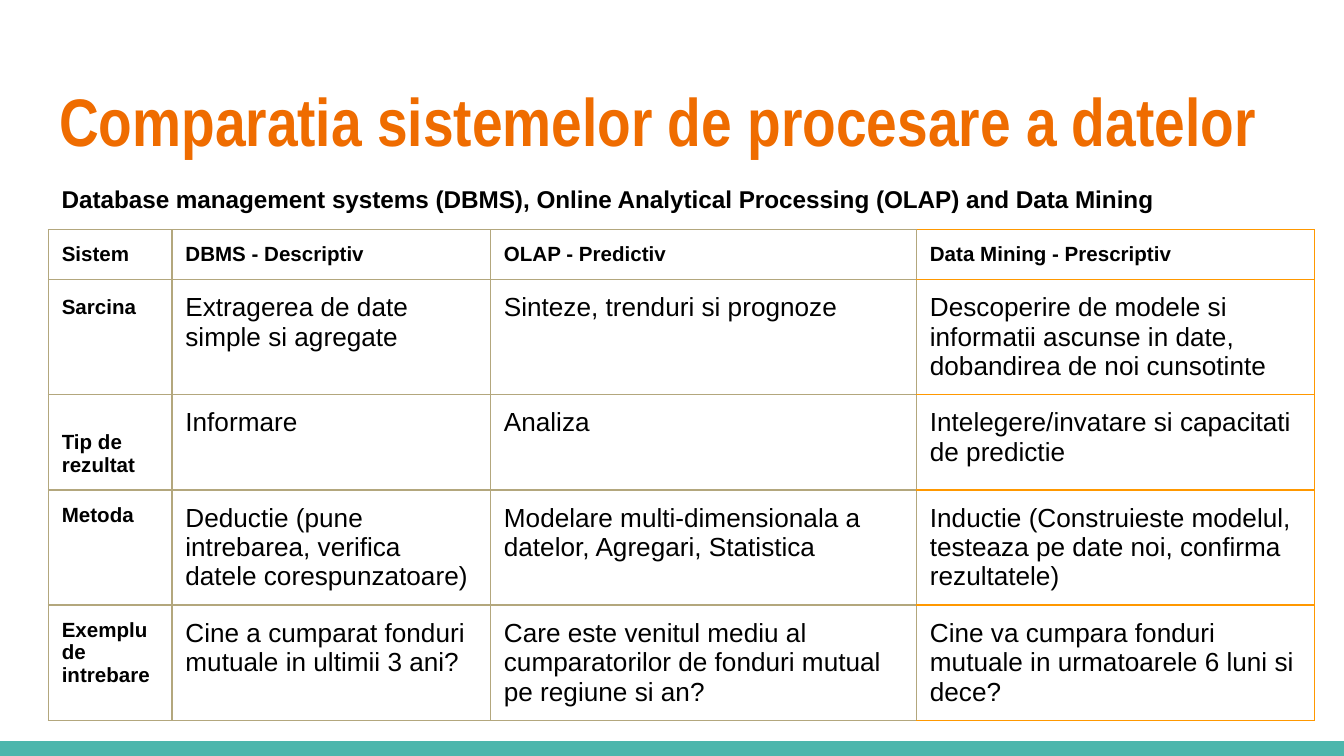
"""Build a slide comparing data processing systems in a table."""
from lxml import etree
from pptx import Presentation
from pptx.dml.color import RGBColor
from pptx.enum.shapes import MSO_SHAPE
from pptx.enum.text import MSO_ANCHOR, MSO_AUTO_SIZE, PP_ALIGN
from pptx.oxml.ns import qn
from pptx.util import Inches, Pt

RECT = MSO_SHAPE.RECTANGLE
TOP, MIDDLE = MSO_ANCHOR.TOP, MSO_ANCHOR.MIDDLE
LEFT = PP_ALIGN.LEFT
NO_FIT = MSO_AUTO_SIZE.NONE

TITLE = "Comparatia sistemelor de procesare a datelor"
SUBTITLE = ("Database management systems (DBMS), Online Analytical Processing "
            "(OLAP) and Data Mining")
ROWS = [
    ("Sistem", "DBMS - Descriptiv", "OLAP - Predictiv", "Data Mining - Prescriptiv"),
    ("Sarcina", "Extragerea de date simple si agregate",
     "Sinteze, trenduri si prognoze",
     "Descoperire de modele si informatii ascunse in date, dobandirea de noi cunsotinte"),
    ("Tip de rezultat", "Informare", "Analiza",
     "Intelegere/invatare si capacitati de predictie"),
    ("Metoda", "Deductie (pune intrebarea, verifica datele corespunzatoare)",
     "Modelare multi-dimensionala a datelor, Agregari, Statistica",
     "Inductie (Construieste modelul, testeaza pe date noi, confirma rezultatele)"),
    ("Exemplu de intrebare", "Cine a cumparat fonduri mutuale in ultimii 3 ani?",
     "Care este venitul mediu al cumparatorilor de fonduri mutual pe regiune si an?",
     "Cine va cumpara fonduri mutuale in urmatoarele 6 luni si dece?"),
]
COL_WIDTHS = [0.92, 2.37, 3.17, 2.96]
ROW_HEIGHTS = [0.37, 0.85, 0.71, 0.85, 0.85]
MARGIN = 0.1
LOWERED_MARGIN = 0.27
BLACK, ORANGE, TEAL = "000000", "EF6C00", "4DB6AC"
TAN, AMBER = "B3A77D", "FF9800"
HEADING = {"name": "Arial", "size": Pt(11), "bold": True}
BODY = {"name": "Arial", "size": Pt(14), "bold": False}


def rgb(value):
    return RGBColor.from_string(value)


def set_margins(target, top=MARGIN):
    for side in ("left", "right", "bottom"):
        setattr(target, f"margin_{side}", Inches(MARGIN))
    target.margin_top = Inches(top)


def write(tf, text, font, color=BLACK, **paragraph):
    tf.word_wrap = True
    p = tf.paragraphs[0]
    p.alignment = LEFT
    for key, value in paragraph.items():
        setattr(p, key, value)
    r = p.add_run()
    r.text = text
    for key, value in font.items():
        setattr(r.font, key, value)
    r.font.color.rgb = rgb(color)


def set_borders(cell, colors):
    tc_pr = cell._tc.get_or_add_tcPr()
    for index, (side, color) in enumerate(colors.items()):
        ln = etree.Element(qn(f"a:ln{side}"), w=str(Pt(0.75)))
        fill = etree.SubElement(ln, qn("a:solidFill"))
        etree.SubElement(fill, qn("a:srgbClr"), val=color)
        tc_pr.insert(index, ln)


prs = Presentation()
prs.slide_width = Inches(10)
prs.slide_height = prs.slide_width * 9 // 16
s = prs.slides.add_slide(prs.slide_layouts[5])

bar_height = Inches(0.11)
bar = s.shapes.add_shape(RECT, 0, prs.slide_height - bar_height, prs.slide_width, bar_height)
bar.shadow.inherit = False
bar.fill.solid()
bar.fill.fore_color.rgb = rgb(TEAL)
bar.line.fill.background()

title = s.shapes.title
title.left, title.top, title.width, title.height = map(Inches, (0.34, 0.49, 9.32, 0.77))
title.text_frame.auto_size = NO_FIT
title.text_frame.vertical_anchor = TOP
set_margins(title.text_frame)
write(title.text_frame, TITLE, {"name": "Arial Narrow", "size": Pt(36), "bold": True}, ORANGE)

table = s.shapes.add_table(len(ROWS), len(COL_WIDTHS), Inches(0.36), Inches(1.71),
                           Inches(sum(COL_WIDTHS)), Inches(sum(ROW_HEIGHTS))).table
table.first_row = table.horz_banding = False
for column, width in zip(table.columns, COL_WIDTHS):
    column.width = Inches(width)
for row, height in zip(table.rows, ROW_HEIGHTS):
    row.height = Inches(height)
for i, texts in enumerate(ROWS):
    for j, text in enumerate(texts):
        cell = table.cell(i, j)
        cell.fill.background()
        set_margins(cell, LOWERED_MARGIN if (i, j) == (2, 0) else MARGIN)
        spacing = 1.15 if (i, j) == (1, 0) else 1.0
        write(cell.text_frame, text, HEADING if i == 0 or j == 0 else BODY,
              line_spacing=spacing)
        edge = AMBER if j == len(texts) - 1 else TAN
        set_borders(cell, {"L": TAN, "R": edge, "T": edge, "B": edge})

subtitle = s.shapes.add_textbox(*map(Inches, (0.36, 1.11, 9.28, 0.7)))
subtitle.text_frame.vertical_anchor = MIDDLE
set_margins(subtitle.text_frame)
write(subtitle.text_frame, SUBTITLE, {"name": "Arial", "size": Pt(13), "bold": True},
      line_spacing=1.15, space_before=Pt(14), space_after=Pt(4))

prs.save("out.pptx")
